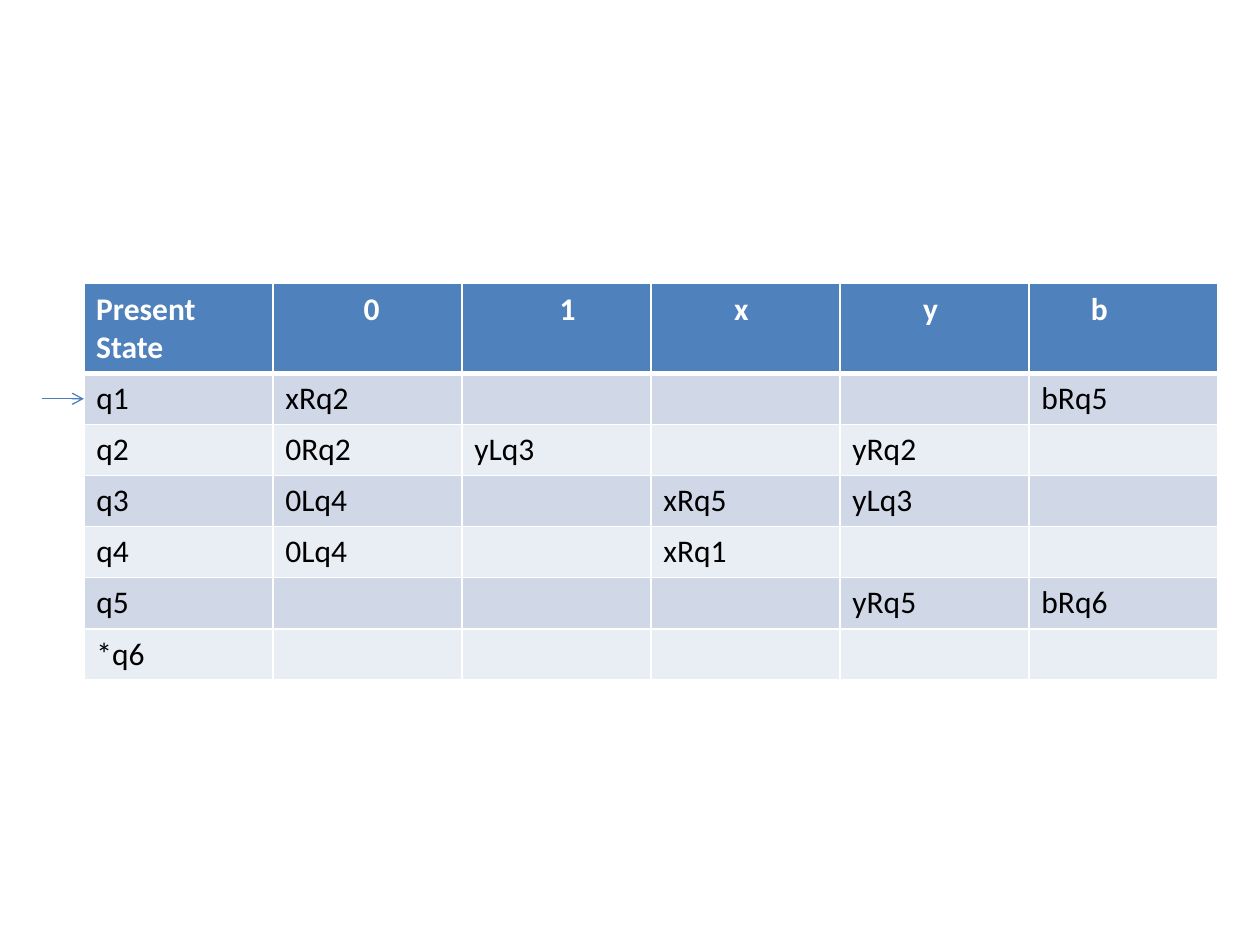
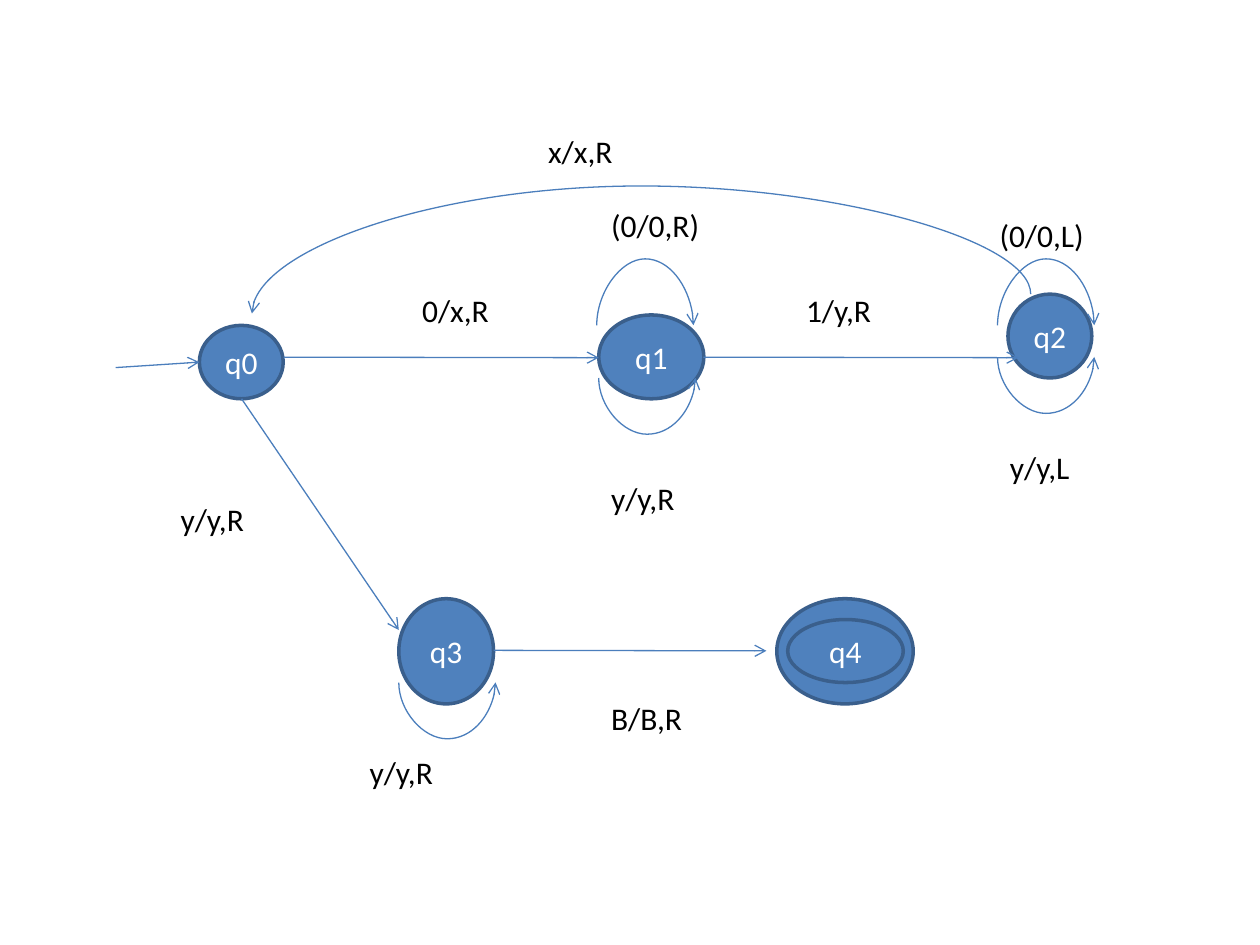
"""Build two slides on a Turing machine: its transition table and its state graph."""
import pptx
import pptx.dml.color
import pptx.enum.shapes
import pptx.enum.text
import pptx.util
from lxml import etree
from pptx.oxml.ns import qn

Cm = pptx.util.Cm
Pt = pptx.util.Pt
HUES = {"blue": "4F81BD", "edge": "3A5F8C", "line": "4B7EBC", "white": "FFFFFF",
        "black": "000000", "odd": "D0D8E8", "even": "E9EDF4"}
LEAST = 1588

HEADS = [("Present State", 0), ("0", 1.58), ("1", 1.72), ("x", 1.43), ("y", 1.43), ("b", 1)]
RULES = [
    ["q1", "xRq2", "", "", "", "bRq5"],
    ["q2", "0Rq2", "yLq3", "", "yRq2", ""],
    ["q3", "0Lq4", "", "xRq5", "yLq3", ""],
    ["q4", "0Lq4", "", "xRq1", "", ""],
    ["q5", "", "", "", "yRq5", "bRq6"],
    ["*q6", "", "", "", "", ""],
]
STATES = [
    ("q0", 4.02, 6.56, 1.69, 1.48),
    ("q1", 12.07, 6.35, 2.12, 1.69),
    ("q2", 20.32, 5.93, 1.69, 1.69),
    ("q3", 8.04, 12.07, 1.91, 2.12),
    ("", 15.66, 12.07, 2.75, 2.12),
    ("q4", 15.88, 12.49, 2.33, 1.27),
]
MOVES = [
    (2.33, 7.41, 4.02, 7.3),
    (5.72, 7.2, 12.07, 7.21),
    (14.18, 7.2, 20.53, 7.21),
    (9.95, 13.11, 15.45, 13.12),
    (4.87, 8.04, 8.04, 12.7),
]
LOOPS = [
    (12.03, 6.56, 1.48),
    (20.11, 6.56, 1.48),
    (20.11, 7.2, -1.25),
    (12.07, 7.62, -1.25),
    (8.04, 13.76, -1.25),
]
LABELS = [
    ("(0/0,R)", 12.07, 4.02, 2.75),
    ("(0/0,L)", 19.9, 4.23, 2.54),
    ("y/y,L", 20.11, 8.91, 2),
    ("y/y,R", 12.07, 9.53, 2.33),
    ("B/B,R", 12.07, 13.97, 2),
    ("y/y,R", 3.39, 9.95, 2),
    ("y/y,R", 7.2, 15.06, 2),
    ("x/x,R", 10.8, 2.54, 2),
    ("0/x,R", 8.26, 5.74, 2),
    ("1/y,R", 16, 5.74, 2),
]


class Deck:
    def __init__(self):
        self.prs = pptx.Presentation()
        self.prs.slide_width, self.prs.slide_height = Cm(25.4), Cm(19.05)
        self.slide = None

    def start(self):
        self.slide = self.prs.slides.add_slide(self.prs.slide_layouts[6])

    def tint(self, name):
        return pptx.dml.color.RGBColor.from_string(HUES[name])

    def paint(self, fill, name):
        fill.solid()
        fill.fore_color.rgb = self.tint(name)

    def letter(self, frame, text, hue, bold=False, align=None):
        para = frame.paragraphs[0]
        para.text = text
        para.alignment = align
        para.font.name, para.font.size, para.font.bold = "Calibri", Pt(18), bold
        para.font.color.rgb = self.tint(hue)

    def state(self, name, x, y, w, h):
        kind = pptx.enum.shapes.MSO_SHAPE.FLOWCHART_CONNECTOR
        oval = self.slide.shapes.add_shape(kind, Cm(x), Cm(y), Cm(w), Cm(h))
        oval.shadow.inherit = False
        self.paint(oval.fill, "blue")
        oval.line.color.rgb, oval.line.width = self.tint("edge"), Pt(2)
        if name:
            frame = oval.text_frame
            frame.vertical_anchor = pptx.enum.text.MSO_ANCHOR.MIDDLE
            frame.margin_left = frame.margin_right = 0
            self.letter(frame, name, "white", align=pptx.enum.text.PP_ALIGN.CENTER)

    def label(self, text, x, y, w):
        box = self.slide.shapes.add_textbox(Cm(x), Cm(y), Cm(w), Cm(1.03))
        box.text_frame.word_wrap = True
        self.letter(box.text_frame, text, "black")

    def arrow(self, x1, y1, x2, y2, kind=pptx.enum.shapes.MSO_CONNECTOR.STRAIGHT):
        link = self.slide.shapes.add_connector(kind, Cm(x1), Cm(y1), Cm(x2), Cm(y2))
        link.line.color.rgb, link.line.width = self.tint("line"), Pt(0.75)
        props = link._element.spPr
        etree.SubElement(props.find(qn("a:ln")), qn("a:tailEnd"), type="arrow")
        etree.SubElement(props, qn("a:effectLst"))
        return link

    def arc(self, x1, y1, x2, y2, rise):
        link = self.arrow(x1, y1, x2, y2, pptx.enum.shapes.MSO_CONNECTOR.CURVE)
        wide, high = max(Cm(abs(y2 - y1)), LEAST), Cm(abs(x2 - x1))
        link.left = int(Cm((x1 + x2) / 2) - wide / 2)
        link.top = int(Cm((y1 + y2) / 2) - high / 2)
        link.width, link.height = wide, high
        sign, turn = (1, 90) if x2 > x1 else (-1, 270)
        form = link._element.spPr.find(qn("a:xfrm"))
        for key, value in (("rot", turn * 60000), ("flipH", 1), ("flipV", 1)):
            form.set(key, str(value))
        bend = round(sign * Cm(rise) / wide * 100000)
        guides = link._element.spPr.find(qn("a:prstGeom")).find(qn("a:avLst"))
        etree.SubElement(guides, qn("a:gd"), name="adj1", fmla=f"val {bend}")

    def edges(self, cell, top, low):
        props = cell._tc.get_or_add_tcPr()
        for side, size in (("L", 1), ("R", 1), ("T", top), ("B", low)):
            line = etree.SubElement(props, qn(f"a:ln{side}"), w=str(Pt(size)))
            fill = etree.SubElement(line, qn("a:solidFill"))
            etree.SubElement(fill, qn("a:srgbClr"), val=HUES["white"])

    def table(self, heads, rows, x, y, w):
        count = len(heads)
        grid = self.slide.shapes.add_table(
            len(rows) + 1, count, Cm(x), Cm(y), Cm(w * count), Cm(7.97)).table
        for col in grid.columns:
            col.width = Cm(w)
        for r, row in enumerate([[text for text, _ in heads]] + rows):
            grid.rows[r].height = Cm(1.03 if r else 1.79)
            for c, text in enumerate(row):
                cell = grid.cell(r, c)
                self.edges(cell, 3 if r == 1 else 1, 1 if r else 3)
                self.paint(cell.fill, ("even", "odd")[r % 2] if r else "blue")
                self.letter(cell.text_frame, text, "black" if r else "white", bold=not r)
                if not r:
                    cell.margin_left = Cm(0.25 + heads[c][1])


def main():
    deck = Deck()
    deck.start()
    deck.table(HEADS, RULES, 1.69, 5.72, 3.81)
    deck.arrow(0.85, 8.04, 1.69, 8.04)
    deck.start()
    for state in STATES:
        deck.state(*state)
    for move in MOVES:
        deck.arrow(*move)
    for x, y, rise in LOOPS:
        deck.arc(x, y, x + 1.95, y, rise)
    deck.arc(20.78, 5.93, 5.08, 6.32, 2.18)
    for label in LABELS:
        deck.label(*label)
    deck.prs.save("out.pptx")


if __name__ == "__main__":
    main()
